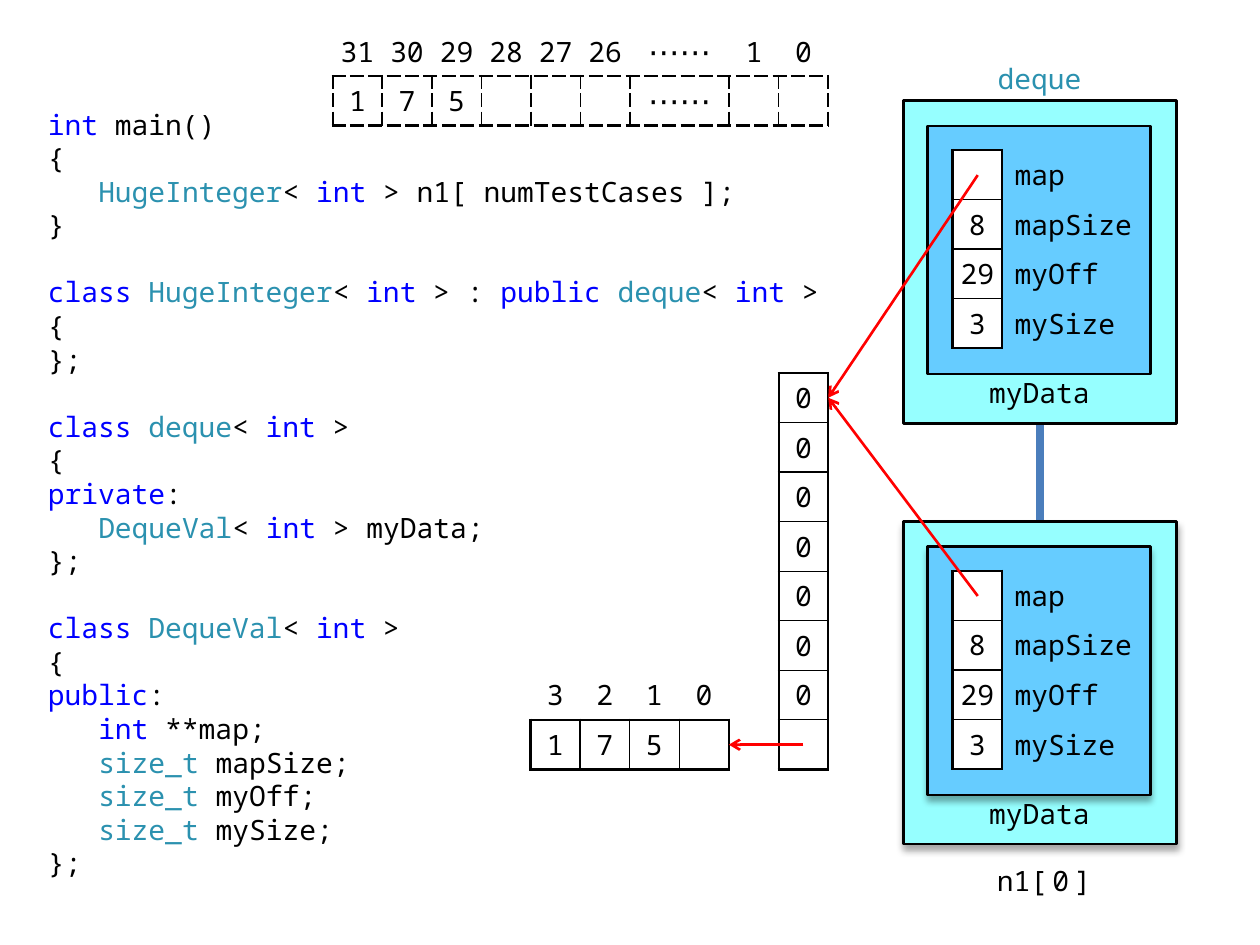
from lxml import etree
from pptx import Presentation
from pptx.dml.color import RGBColor
from pptx.enum.dml import MSO_LINE
from pptx.enum.shapes import MSO_CONNECTOR, MSO_SHAPE
from pptx.enum.text import MSO_ANCHOR, MSO_AUTO_SIZE, PP_ALIGN
from pptx.oxml.ns import qn
from pptx.util import Inches, Pt

LINE = MSO_CONNECTOR.STRAIGHT
BOX = MSO_SHAPE.FLOWCHART_PROCESS
SYS_DASH, SOLID = "sysDash", "solid"
TOP, MID, LOW = MSO_ANCHOR.TOP, MSO_ANCHOR.MIDDLE, MSO_ANCHOR.BOTTOM
LEFT, MIDDLE, RIGHT = PP_ALIGN.LEFT, PP_ALIGN.CENTER, PP_ALIGN.RIGHT

BLACK = RGBColor(0, 0, 0)
WHITE = RGBColor(0xFF, 0xFF, 0xFF)
BLUE = RGBColor(0, 0, 0xFF)
TEAL = RGBColor(0x2B, 0x91, 0xAF)
RED = RGBColor(0xFF, 0, 0)
AQUA = RGBColor(0x96, 0xFF, 0xFF)
SKY = RGBColor(0x66, 0xCC, 0xFF)
STEEL = RGBColor(0x4B, 0x7E, 0xBC)
FONT, SIZE = "Noto Sans Mono", 16
NO_STYLE = "{2D5ABB26-0587-4C30-8999-92F81FD0307C}"

# One list per block of code; "|" parts the colours, ">" indents a line.
CODE = [
    ["int| main()", "{", ">HugeInteger|< |int| > n1[ numTestCases ];", "}"],
    ["class |HugeInteger|< |int| > : |public |deque|< |int| >", "{", "};"],
    ["class |deque|< |int| >", "{", "private|:",
     ">DequeVal|< |int| > myData;", "};"],
    ["class |DequeVal|< |int| >", "{", "public|:", ">int| **map;",
     ">size_t |mapSize;", ">size_t |myOff;", ">size_t |mySize;", "};"],
]
HUES = dict.fromkeys(["int", "class", "public", "private"], BLUE)
HUES.update(dict.fromkeys(["HugeInteger", "deque", "DequeVal", "size_t"], TEAL))

DIGITS = [["31", "30", "29", "28", "27", "26", "⋯⋯", "1", "0"],
          ["1", "7", "5", "", "", "", "⋯⋯", "", ""]]
BLOCK = [["3", "2", "1", "0"], ["1", "7", "5", ""]]
MAP = [["0"]] * 7 + [[""]]
FIELDS = [["", "map"], ["8", "mapSize"], ["29", "myOff"], ["3", "mySize"]]

UNIT = 1 / 2.54  # side of a square cell
DEQUE_X, DEQUE_TOPS = 7.17, (0.8, 4.14)
MAP_X, MAP_Y = 6.18, 2.96
BLOCK_X, BLOCK_Y = 4.21, 5.32

prs = Presentation()
prs.slide_width, prs.slide_height = Inches(10), Inches(7.5)
slide = prs.slides.add_slide(prs.slide_layouts[1])
shapes = slide.shapes
title = shapes.title._element
title.getparent().remove(title)


def sub(node, tag, **attrs):
    return etree.SubElement(node, qn(tag), attrs)


def style(para, align=LEFT, color=BLACK, size=SIZE):
    para.alignment = align
    font = para.font
    font.name, font.size, font.color.rgb = FONT, Pt(size), color


def add_code():
    body = slide.placeholders[1]
    body.left, body.top, body.width, body.height = map(
        Inches, (0.28, 0.8, 6.5, 6.3))
    frame = body.text_frame
    frame.auto_size = MSO_AUTO_SIZE.NONE
    para = frame.paragraphs[0]
    for b, block in enumerate(CODE):
        for i, line in enumerate(block):
            if b or i:
                para = frame.add_paragraph()
            style(para)
            para.line_spacing = Pt(19.2)
            para.space_before = Pt(19.2 if b and not i else 0)
            props = para._p.get_or_add_pPr()
            props.set("marL", str(Inches(0.4) if line[0] == ">" else 0))
            props.set("indent", "0")
            none = etree.Element(qn("a:buNone"))
            props.find(qn("a:defRPr")).addprevious(none)
            for part in line.removeprefix(">").split("|"):
                run = para.add_run()
                run.text = part
                run.font.color.rgb = HUES.get(part.strip(), BLACK)


def add_label(text, y, height=UNIT, anchor=TOP, align=MIDDLE, color=BLACK):
    box = shapes.add_textbox(*map(Inches, (DEQUE_X + 0.59, y, 0.98, height)))
    frame = box.text_frame
    frame.word_wrap, frame.vertical_anchor = True, anchor
    frame.margin_left = frame.margin_right = Inches(0.08)
    frame.margin_top, frame.margin_bottom = Inches(0.02), Inches(0.04)
    para = frame.paragraphs[0]
    style(para, align, color)
    for part in text.split("|"):
        para.add_run().text = part
    return para


def add_edge(cell, side, width, dash):
    line = sub(cell._tc.get_or_add_tcPr(), "a:ln" + side, w=str(Pt(width)))
    sub(sub(line, "a:solidFill"), "a:srgbClr", val=str(BLACK))
    sub(line, "a:prstDash", val=dash)


def add_grid(rows, x, y, boxed, inner, dash=SOLID, widths=None):
    """Draw a table whose cells in boxed (rows, columns) have borders."""
    widths = widths or [1] * len(rows[0])
    frame = shapes.add_table(
        len(rows), len(widths), Inches(x), Inches(y),
        Inches(sum(widths) * UNIT), Inches(len(rows) * UNIT))
    table = frame.table
    table.first_row = table.horz_banding = False
    table._tbl.tblPr.find(qn("a:tableStyleId")).text = NO_STYLE
    for col, width in zip(table.columns, widths):
        col.width = Inches(width * UNIT)
    down, across = boxed
    for r, row in enumerate(rows):
        table.rows[r].height = Inches(UNIT)
        for c, text in enumerate(row):
            cell = table.cell(r, c)
            inside = r in down and c in across
            wide = widths[c] > 2
            cell.vertical_anchor = MID
            cell.margin_left = cell.margin_right = Inches(0.1 if wide else 0)
            cell.margin_top = cell.margin_bottom = Inches(0.02)
            cell.text = text
            style(cell.text_frame.paragraphs[0], LEFT if wide else MIDDLE,
                  size=18 if "⋯" in text else SIZE)
            if not inside:
                cell.fill.background()
                continue
            outer = {"L": c == across[0], "R": c == across[-1],
                     "T": r == down[0], "B": r == down[-1]}
            for side, rim in outer.items():
                add_edge(cell, side, 1.5 if rim else inner, dash)
            cell.fill.solid()
            cell.fill.fore_color.rgb = WHITE


def add_box(x, y, width, height, color, shadow):
    box = shapes.add_shape(BOX, *map(Inches, (x, y, width, height)))
    box.fill.solid()
    box.fill.fore_color.rgb = color
    box.line.color.rgb, box.line.width = BLACK, Pt(1.5)
    box.shadow.inherit = False
    if shadow:
        glow = sub(box._element.spPr.find(qn("a:effectLst")), "a:outerShdw",
                   blurRad=str(Pt(4)), dist=str(Pt(3)), dir="5400000",
                   rotWithShape="0")
        sub(sub(glow, "a:srgbClr", val=str(BLACK)), "a:alpha", val="35000")
    return box


def add_deque(y, shadow):
    outer = add_box(DEQUE_X, y, 2.17, 2.56, AQUA, shadow)
    add_box(DEQUE_X + 0.19, y + 0.2, 1.77, 1.97, SKY, shadow)
    add_grid(FIELDS, DEQUE_X + 0.39, y + 0.39, (range(4), range(1)), 1,
             widths=[1, 3])
    add_label("myData", y + 2.16)
    return outer


def add_line(start, end, color, width, arrow=True):
    line = shapes.add_connector(LINE, *map(Inches, (*start, *end)))
    line.line.color.rgb, line.line.width = color, Pt(width)
    line.line.dash_style = MSO_LINE.SOLID
    props = line._element.spPr
    if arrow:
        sub(props.find(qn("a:ln")), "a:tailEnd", type="arrow")
    sub(props, "a:effectLst")
    return line


link = add_line((8.25, 3.36), (8.25, 4.14), STEEL, 4.5, arrow=False)
add_code()
upper, lower = [add_deque(y, i == 1) for i, y in enumerate(DEQUE_TOPS)]
link.begin_connect(upper, 2)
link.end_connect(lower, 0)
add_label("deque", 0.4, anchor=LOW, color=TEAL)
name = add_label("n1|[0|]", 6.7, 0.59, MID, RIGHT)
name.runs[1].font._element.set("spc", "300")

add_grid(DIGITS, 2.64, 0.21, (range(1, 2), range(9)), 1, SYS_DASH,
         [1] * 6 + [2, 1, 1])
add_grid(BLOCK, BLOCK_X, BLOCK_Y, (range(1, 2), range(4)), 0.75)
add_grid(MAP, MAP_X, MAP_Y, (range(8), range(1)), 0.75)

for y in DEQUE_TOPS:
    add_line((DEQUE_X + 0.59, y + 0.59),
             (MAP_X + UNIT, MAP_Y + UNIT / 2), RED, 1.5)
row = BLOCK_Y + 1.5 * UNIT
add_line((MAP_X + UNIT / 2, row), (BLOCK_X + 4 * UNIT, row), RED, 1.5)

prs.save("out.pptx")
